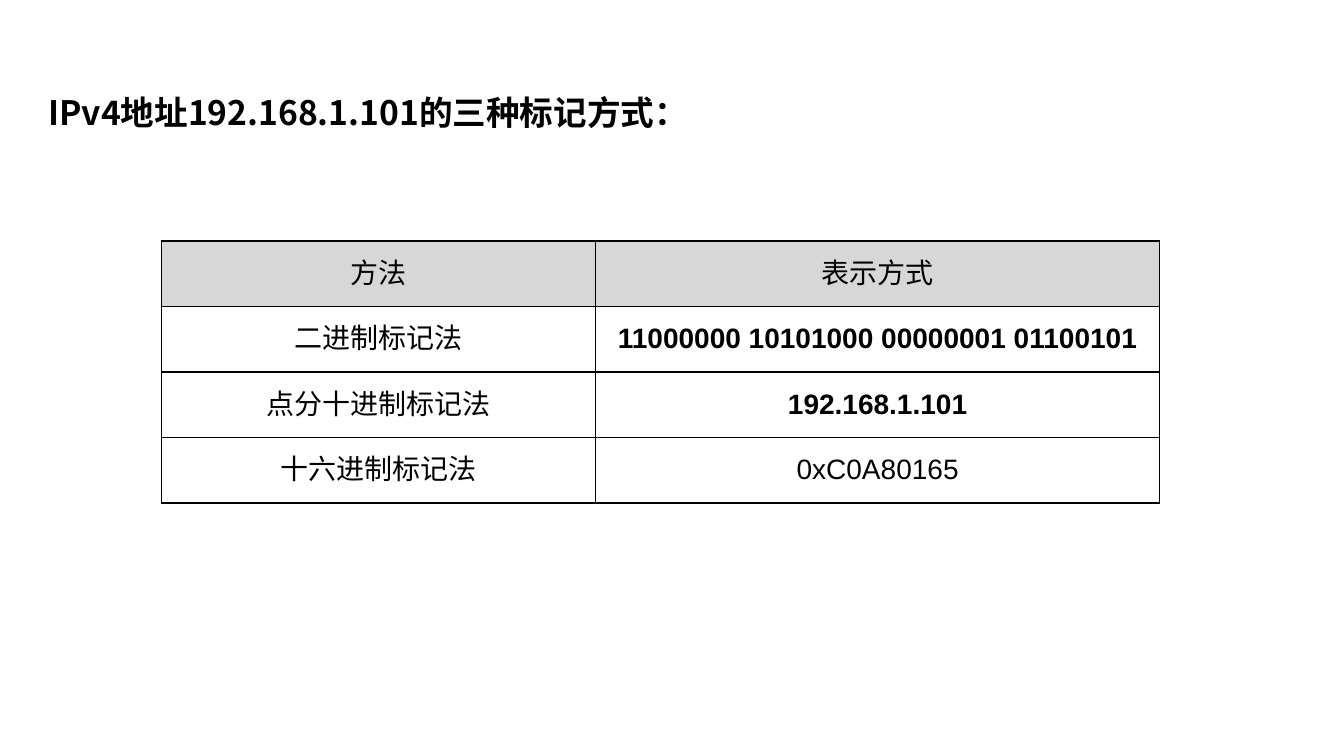
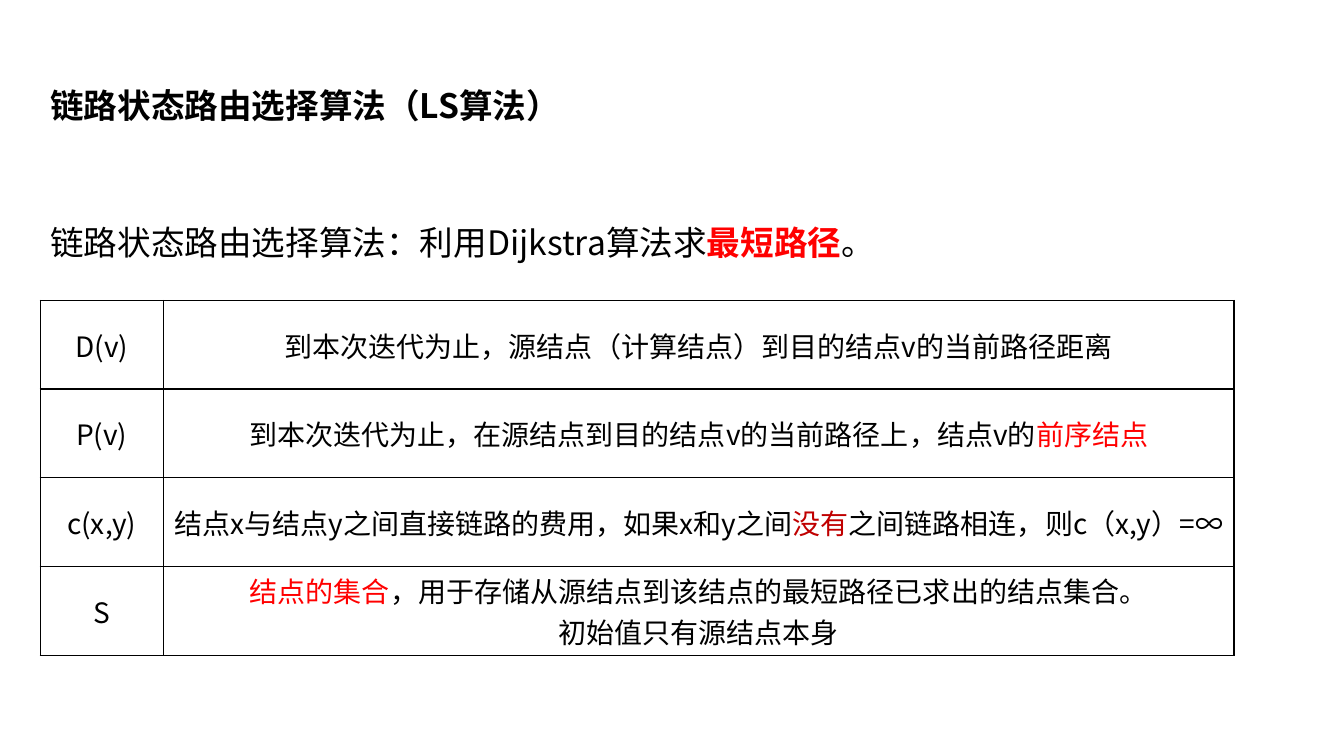
from pptx import Presentation
from pptx.dml.color import RGBColor as RGB
from pptx.enum.text import MSO_ANCHOR as ANCHOR, MSO_AUTO_SIZE as AUTO, PP_ALIGN as ALIGN
from pptx.oxml import parse_xml
from pptx.oxml.ns import nsdecls
from pptx.util import Inches, Pt

COLORS = {"text": "000000", "border": "000000", "header": "D7D7D7",
          "red": "FF0000", "dark_red": "C00000"}
SANS, ARIAL = "Noto Sans CJK SC", "Arial"
TITLE = {"size": Pt(24), "name": SANS, "bold": True}
BODY = {**TITLE, "bold": False}
CELL = {"size": Pt(20), "name": SANS, "bold": False}
ARIAL_CELL = {**CELL, "name": ARIAL}
ARIAL_BOLD = {**ARIAL_CELL, "bold": True}


def add_runs(p, runs, style):
    for text, color, changes in runs:
        r = p.add_run()
        r.text = text
        for key, value in {**style, **changes}.items():
            setattr(r.font, key, value)
        r.font.color.rgb = RGB.from_string(COLORS[color])
        r._r.get_or_add_rPr().append(
            parse_xml(f'<a:ea {nsdecls("a")} typeface="{style["name"]}"/>'))


def plain(text):
    return [(text, "text", {})]


def add_text(s, box, runs, style, spacing):
    sp = s.shapes.add_textbox(*map(Inches, box))
    tf = sp.text_frame
    tf.word_wrap = True
    tf.auto_size = AUTO.SHAPE_TO_FIT_TEXT
    p = tf.paragraphs[0]
    p.line_spacing = spacing
    add_runs(p, runs, style)


def add_borders(cell):
    tc_pr = cell._tc.get_or_add_tcPr()
    for side in "LRTB":
        tc_pr.append(parse_xml(
            f'<a:ln{side} {nsdecls("a")} w="{Pt(1)}"><a:solidFill>'
            f'<a:srgbClr val="{COLORS["border"]}"/></a:solidFill></a:ln{side}>'))


def fill_cell(cell, paragraphs, style, fill):
    cell.vertical_anchor = ANCHOR.MIDDLE
    cell.margin_top = cell.margin_bottom = Inches(0.03)
    add_borders(cell)
    if fill:
        cell.fill.solid()
        cell.fill.fore_color.rgb = RGB.from_string(COLORS[fill])
    else:
        cell.fill.background()
    tf = cell.text_frame
    for i, runs in enumerate(paragraphs):
        p = tf.add_paragraph() if i else tf.paragraphs[0]
        p.alignment = ALIGN.CENTER
        add_runs(p, runs, style)


def add_grid(s, left, top, widths, height, rows, header=None):
    table = s.shapes.add_table(
        len(rows), len(widths), Inches(left), Inches(top),
        Inches(sum(widths)), Inches(height * len(rows))).table
    table.first_row = table.horz_banding = False
    for column, width in zip(table.columns, widths):
        column.width = Inches(width)
    for i, row in enumerate(rows):
        table.rows[i].height = Inches(height)
        for j, (paragraphs, style) in enumerate(row):
            fill_cell(table.cell(i, j), paragraphs, style, None if i else header)


def build_notations(s):
    add_text(s, (0.38, 0.75, 10.94, 0.57),
             plain("IPv4地址192.168.1.101的三种标记方式："), TITLE, Pt(37))
    notations = [
        ("方法", "表示方式", ARIAL_CELL),
        ("二进制标记法", "11000000 10101000 00000001 01100101", ARIAL_BOLD),
        ("点分十进制标记法", "192.168.1.101", ARIAL_BOLD),
        ("十六进制标记法", "0xC0A80165", ARIAL_CELL),
    ]
    rows = [[([plain(method)], ARIAL_CELL), ([plain(value)], style)]
            for method, value, style in notations]
    add_grid(s, 1.6, 2.39, (4.31, 5.59), 0.65, rows, "header")


def build_link_state(s):
    left = 0.4
    add_text(s, (left, 0.59, 8.99, 0.64),
             plain("链路状态路由选择算法（LS算法）"), TITLE, 1.5)
    add_text(s, (left, 1.95, 10.94, 0.71),
             [("链路状态路由选择算法：利用Dijkstra算法求", "text", {}),
              ("最短路径", "red", {"bold": True}),
              ("。", "text", {})], BODY, 1.5)
    symbols = [
        ("D(v)", [plain("到本次迭代为止，源结点（计算结点）到目的结点v的当前路径距离")]),
        ("P(v)", [[("到本次迭代为止，在源结点到目的结点v的当前路径上，结点v的", "text", {}),
                   ("前序结点", "red", {})]]),
        ("c(x,y)", [[("结点x与结点y之间直接链路的费用，如果x和y之间", "text", {}),
                     ("没有", "dark_red", {}),
                     ("之间链路相连，则c（x,y）=∞", "text", {})]]),
        ("S", [[("结点的集合", "red", {}),
                ("，用于存储从源结点到该结点的最短路径已求出的结点集合。", "text", {})],
               plain("初始值只有源结点本身")]),
    ]
    rows = [[([plain(symbol)], CELL), (meaning, CELL)] for symbol, meaning in symbols]
    add_grid(s, left, 2.98, (1.22, 10.62), 0.88, rows)


def main():
    prs = Presentation()
    prs.slide_width, prs.slide_height = Inches(13.33), Inches(7.5)
    for build in (build_notations, build_link_state):
        build(prs.slides.add_slide(prs.slide_layouts[6]))
    prs.save("out.pptx")


if __name__ == "__main__":
    main()
